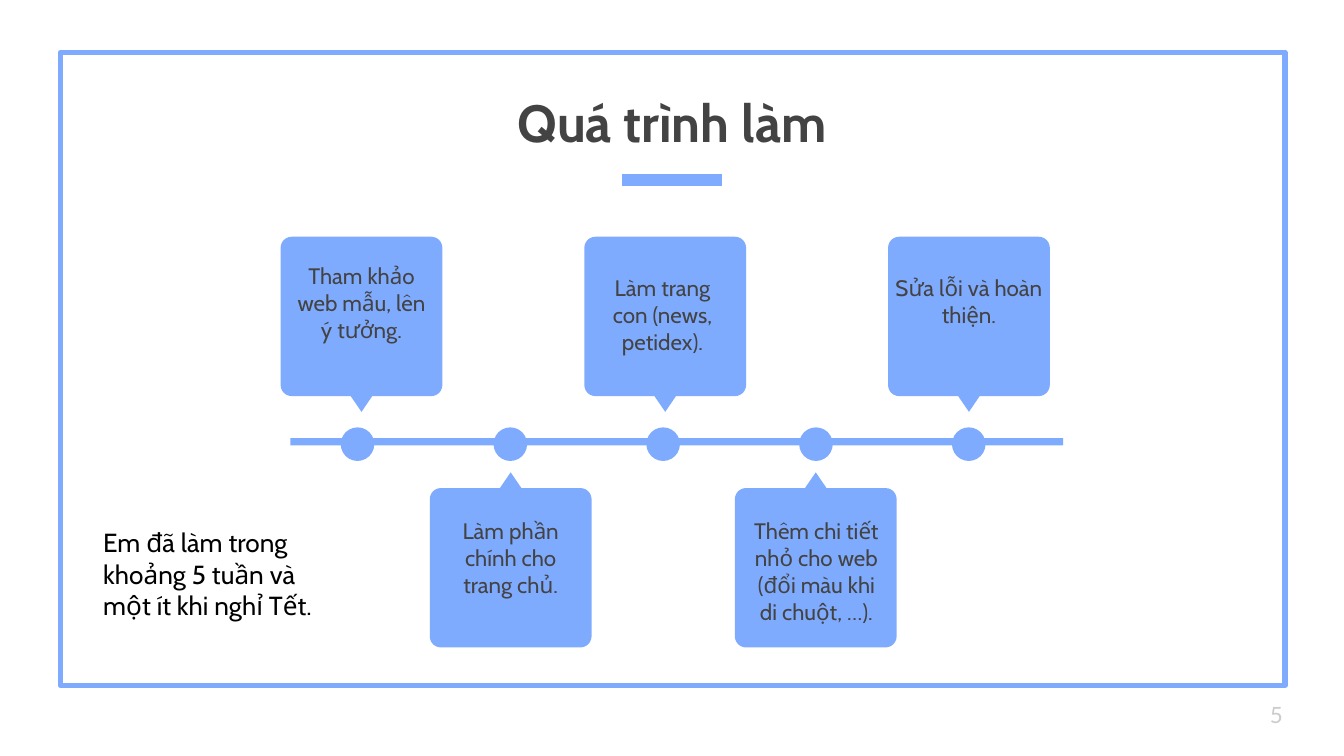
from math import cos, radians, sin

from lxml.etree import SubElement
from pptx import Presentation
from pptx.dml.color import RGBColor as RGB
from pptx.enum.shapes import MSO_CONNECTOR as CONN, MSO_SHAPE as SHAPE
from pptx.enum.text import MSO_ANCHOR as ANCHOR, PP_ALIGN as ALIGN
from pptx.oxml.ns import qn
from pptx.util import Inches, Pt

COLORS = {"blue": "7FABFF", "dark": "434343", "grey": "CCCCCC", "black": "000000"}

prs = Presentation()
prs.slide_width, prs.slide_height = Inches(10), Inches(5.625)
s = prs.slides.add_slide(prs.slide_layouts[6])

# Square grid: 100 columns across the slide
CELL = prs.slide_width / 100
MID = 50


def cells(*values):
    """Turn grid cells into slide lengths."""
    return [round(v * CELL) for v in values]


def add_text(text, box, size=12, font="Cabin", color="dark", bold=False,
             align=ALIGN.CENTER, anchor=ANCHOR.TOP, pad=1):
    tf = s.shapes.add_textbox(*cells(*box)).text_frame
    tf.word_wrap = True
    tf.vertical_anchor = anchor
    tf.margin_top = tf.margin_bottom = cells(pad)[0]
    p = tf.paragraphs[0]
    p.alignment = align
    r = p.add_run()
    r.text = text
    r.font.name, r.font.size, r.font.bold = font, Pt(size), bold
    r.font.color.rgb = RGB.from_string(COLORS[color])


blue = RGB.from_string(COLORS["blue"])

# Frame and title rule
frame = s.shapes.add_shape(SHAPE.RECTANGLE, *cells(4.5, 3.9, 91.1, 47.1))
frame.shadow.inherit = False
frame.fill.background()
frame.line.color.rgb = blue
frame.line.width = Pt(3)

rule = s.shapes.add_connector(CONN.STRAIGHT, *cells(MID - 3.7, 13.4, MID + 3.7, 13.4))
rule.line.color.rgb = blue
rule.line.width = Pt(6)
SubElement(rule._element.spPr, qn("a:effectLst"))

add_text("Quá trình làm", (0, 2.4, 100, 10), size=28, bold=True, anchor=ANCHOR.BOTTOM)

# Callout: centre x, centre y, pointer direction (1 down, -1 up), text, text box
steps = [
    (26.9, 23.55, 1, "Tham khảo web mẫu, lên ý tưởng.", (20.9, 18.5, 12, 10.8)),
    (38, 42.25, -1, "Làm phần chính cho trang chủ.", (32.2, 37.5, 11.6, 9.6)),
    (49.5, 23.55, 1, "Làm trang con (news, petidex).", (43.3, 19.4, 12, 8.6)),
    (60.7, 42.25, -1, "Thêm chi tiết nhỏ cho web (đổi màu khi di chuột, …).",
     (54.6, 37.5, 12.3, 9.6)),
    (72.1, 23.55, 1, "Sửa lỗi và hoàn thiện.", (65.1, 19.4, 14, 9)),
]

# Callout outline around its centre, pointer down
HALF_W, HALF_H, RADIUS, TIP_W, TIP_H = 6.02, 5.93, 0.83, 0.8, 1.17
outline = [(TIP_W, HALF_H), (0, HALF_H + TIP_H), (-TIP_W, HALF_H)]
for start, side_x, side_y in ((90, -1, 1), (180, -1, -1), (270, 1, -1), (0, 1, 1)):
    for angle in range(start, start + 91, 15):
        outline.append((side_x * (HALF_W - RADIUS) + RADIUS * cos(radians(angle)),
                        side_y * (HALF_H - RADIUS) + RADIUS * sin(radians(angle))))

# Timeline: bar, evenly spaced dots, callouts
DOT, DOT_X, DOT_Y, DOT_STEP = 2.5, 26.6, 33.05, 11.37
solids = [s.shapes.add_shape(SHAPE.RECTANGLE, *cells(21.6, 32.6, 57.5, 0.55))]
for i, (cx, cy, way, text, box) in enumerate(steps):
    points = [tuple(cells(cx + x, cy + way * y)) for x, y in outline]
    builder = s.shapes.build_freeform(*points[0])
    builder.add_line_segments(points[1:], close=True)
    solids.append(builder.convert_to_shape())
    solids.append(s.shapes.add_shape(
        SHAPE.OVAL,
        *cells(DOT_X + i * DOT_STEP - DOT / 2, DOT_Y - DOT / 2, DOT, DOT)))
    add_text(text, box)

for sp in solids:
    sp.shadow.inherit = False
    sp.fill.solid()
    sp.fill.fore_color.rgb = blue
    sp.line.fill.background()

# Note and page number
add_text("Em đã làm trong khoảng 5 tuần và một ít khi nghỉ Tết.",
         (6.7, 38.7, 19.3, 8.1), size=14, color="black", align=ALIGN.LEFT, pad=0.5)
add_text("5", (93.5, 51, 6, 4.3), font="Lato", color="grey",
         align=ALIGN.LEFT, anchor=ANCHOR.MIDDLE)

prs.save("out.pptx")
